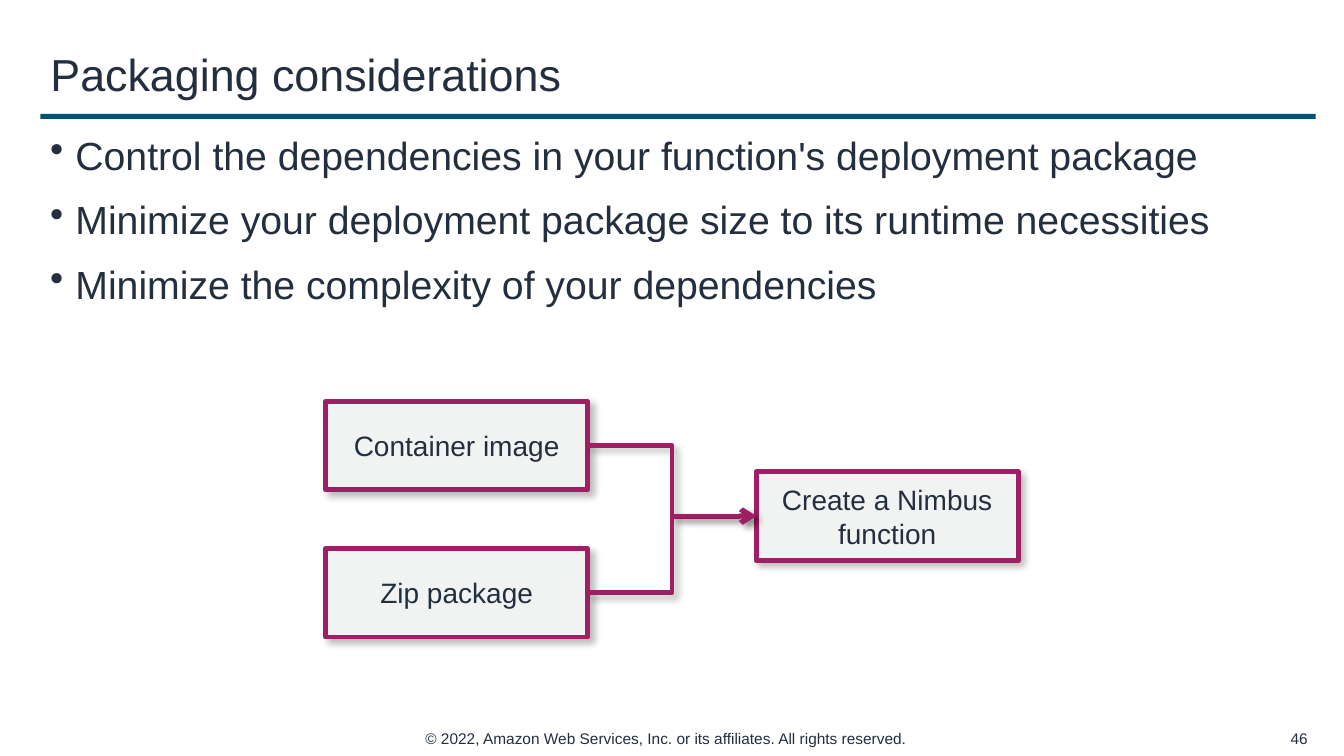
from lxml import etree
from pptx import Presentation
from pptx.dml.color import RGBColor
from pptx.enum.shapes import MSO_CONNECTOR as LINK, MSO_SHAPE as SHAPE
from pptx.enum.text import MSO_ANCHOR as ANCHOR, MSO_AUTO_SIZE as FIT, PP_ALIGN as ALIGN
from pptx.oxml import parse_xml
from pptx.oxml.ns import qn
from pptx.util import Inches, Pt

COLORS = {"text": "232F3E", "rule": "005276", "box": "F1F3F3", "edge": "9E1F63"}
SHADOW = (
    '<a:effectLst xmlns:a="http://schemas.openxmlformats.org/drawingml/2006/main">'
    '<a:outerShdw blurRad="63500" dist="53340" dir="2700000" algn="tl" rotWithShape="0">'
    '<a:srgbClr val="000000"><a:alpha val="25000"/></a:srgbClr>'
    '</a:outerShdw></a:effectLst>'
)


def color(name):
    return RGBColor.from_string(COLORS[name])


def write(shape, text, size, align=ALIGN.LEFT, anchor=ANCHOR.MIDDLE):
    """Fill a shape with text, one paragraph per line."""
    frame = shape.text_frame
    frame.text = text
    frame.word_wrap = True
    frame.auto_size = FIT.NONE
    frame.vertical_anchor = anchor
    for para in frame.paragraphs:
        para.alignment = align
        for run in para.runs:
            run.font.name = "Arial"
            run.font.size = Pt(size)
            run.font.color.rgb = color("text")


deck = Presentation()
deck.slide_width, deck.slide_height = Inches(13.33), Inches(7.5)
slide = deck.slides.add_slide(deck.slide_layouts[5])
shapes = slide.shapes

# Title and rule
title = shapes.title
title.left, title.top = Inches(0.4), Inches(0.33)
title.width, title.height = Inches(12.65), Inches(0.8)
write(title, "Packaging considerations", 32)

rule = shapes.add_shape(SHAPE.RECTANGLE, Inches(0.4), Inches(1.13), Inches(12.65), Inches(0.05))
rule.shadow.inherit = False
rule.fill.solid()
rule.fill.fore_color.rgb = color("rule")
rule.line.fill.background()

# Bullets
points = [
    "Control the dependencies in your function's deployment package",
    "Minimize your deployment package size to its runtime necessities",
    "Minimize the complexity of your dependencies",
]
body = shapes.add_textbox(Inches(0.4), Inches(1.25), Inches(12.67), Inches(5.79))
write(body, "\n".join(points), 28, anchor=ANCHOR.TOP)
for i, para in enumerate(body.text_frame.paragraphs):
    props = para._p.get_or_add_pPr()
    props.set("marL", str(Inches(0.25)))
    props.set("indent", str(Inches(-0.25)))
    etree.SubElement(props, qn("a:buChar")).set("char", "•")
    para.space_before = Pt(6.4 if i else 0)
    para.space_after = Pt(6)

# Flow diagram
boxes = []
for label, left, top in [
    ("Container image", 3.23, 3.98),
    ("Zip package", 3.23, 5.44),
    ("Create a Nimbus function", 7.5, 4.68),
]:
    box = shapes.add_shape(SHAPE.RECTANGLE, Inches(left), Inches(top), Inches(2.6), Inches(0.88))
    box.fill.solid()
    box.fill.fore_color.rgb = color("box")
    write(box, label, 20, ALIGN.CENTER)
    boxes.append(box)

*inputs, target = boxes
links = []
for box in inputs:
    link = shapes.add_connector(LINK.ELBOW, 0, 0, 0, 0)
    link.begin_connect(box, 3)
    link.end_connect(target, 1)
    links.append(link)

for item in boxes + links:
    item.line.color.rgb = color("edge")
    item.line.width = Pt(3.5)
    item._element.spPr.append(parse_xml(SHADOW))
for link in links:
    etree.SubElement(link.line._get_or_add_ln(), qn("a:tailEnd")).set("type", "arrow")

# Footer
for text, left, width, align in [
    ("© 2022, Amazon Web Services, Inc. or its affiliates. All rights reserved.", 4.12, 5.09, ALIGN.LEFT),
    ("46", 12.54, 0.53, ALIGN.RIGHT),
]:
    note = shapes.add_textbox(Inches(left), Inches(7.18), Inches(width), Inches(0.29))
    write(note, text, 11, align)

deck.save("out.pptx")
